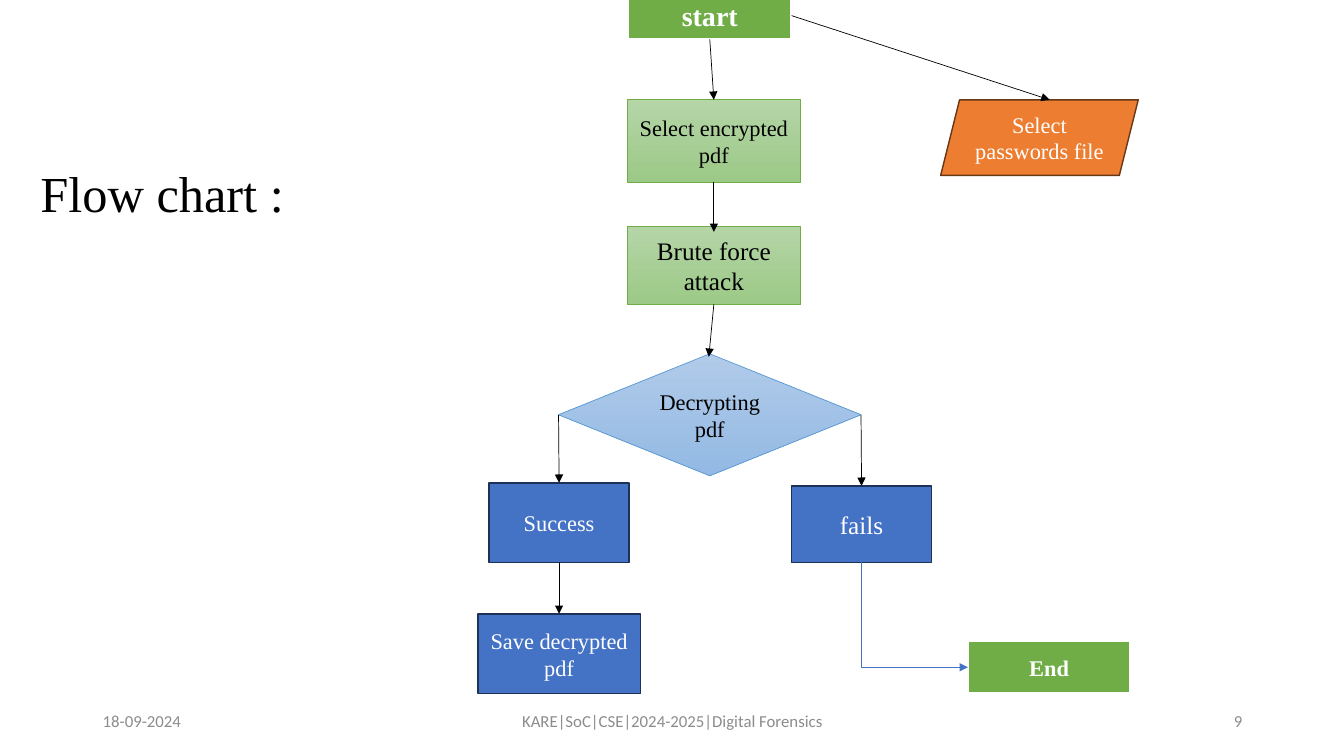
from lxml import etree
from pptx import Presentation
from pptx.dml.color import RGBColor
from pptx.enum.shapes import MSO_CONNECTOR, MSO_SHAPE
from pptx.enum.text import MSO_ANCHOR, PP_ALIGN
from pptx.oxml.ns import qn
from pptx.util import Inches, Pt

RECT, DIAMOND = MSO_SHAPE.RECTANGLE, MSO_SHAPE.DIAMOND
PARALLELOGRAM = MSO_SHAPE.PARALLELOGRAM
STRAIGHT, ELBOW = MSO_CONNECTOR.STRAIGHT, MSO_CONNECTOR.ELBOW
LEFT, CENTER, RIGHT = PP_ALIGN.LEFT, PP_ALIGN.CENTER, PP_ALIGN.RIGHT
MIDDLE = MSO_ANCHOR.MIDDLE
TOP_SIDE, LEFT_SIDE, BOTTOM_SIDE, RIGHT_SIDE = range(4)

BLACK = RGBColor(0x00, 0x00, 0x00)
WHITE = RGBColor(0xFF, 0xFF, 0xFF)
GRAY = RGBColor(0x8C, 0x8C, 0x8C)
GREEN = RGBColor(0x70, 0xAD, 0x47)
GREEN_LIGHT = RGBColor(0xB5, 0xD5, 0xA7)
GREEN_SOFT = RGBColor(0x9C, 0xC9, 0x87)
SKY = RGBColor(0x5B, 0x9B, 0xD5)
SKY_LIGHT = RGBColor(0xB1, 0xCB, 0xE9)
SKY_SOFT = RGBColor(0x93, 0xB9, 0xE4)
ORANGE = RGBColor(0xED, 0x7D, 0x31)
BROWN = RGBColor(0x68, 0x37, 0x15)
BLUE = RGBColor(0x44, 0x72, 0xC4)
NAVY = RGBColor(0x1E, 0x32, 0x56)

# Node looks: fill colours, outline, outline width, text colour, bold
TERMINAL = ([GREEN], WHITE, 1.5, WHITE, True)
STEP = ([GREEN_LIGHT, GREEN_SOFT], GREEN, 0.5, BLACK, False)
DECISION = ([SKY_LIGHT, SKY_SOFT], SKY, 0.5, BLACK, False)
INPUT = ([ORANGE], BROWN, 1, WHITE, False)
RESULT = ([BLUE], NAVY, 1, WHITE, False)


def write(frame, text, size=16, font="Times New Roman", color=BLACK,
          bold=False, align=CENTER, spacing=None):
    frame.word_wrap = True
    frame.vertical_anchor = MIDDLE
    paragraph = frame.paragraphs[0]
    paragraph.alignment = align
    paragraph.line_spacing = spacing
    run = paragraph.add_run()
    run.text = text
    run.font.name, run.font.size = font, Pt(size)
    run.font.bold, run.font.color.rgb = bold, color


class FlowSlide:
    def __init__(self, slide):
        self.slide = slide
        self.shapes = slide.shapes

    def title(self, text, left, top, width, height):
        heading = self.shapes.title
        heading.left, heading.top = Inches(left), Inches(top)
        heading.width, heading.height = Inches(width), Inches(height)
        write(heading.text_frame, text, size=36, align=LEFT, spacing=0.9)

    def footer(self, text, left, width, align):
        box = self.shapes.add_textbox(Inches(left), Inches(6.95), Inches(width), Inches(0.4))
        write(box.text_frame, text, size=12, font="Calibri", color=GRAY, align=align)

    def node(self, text, left, top, width, height, look, kind=RECT, size=16):
        fills, outline, weight, color, bold = look
        shape = self.shapes.add_shape(
            kind, Inches(left), Inches(top), Inches(width), Inches(height))
        shape.shadow.inherit = False
        if len(fills) == 1:
            shape.fill.solid()
            shape.fill.fore_color.rgb = fills[0]
        else:
            shape.fill.gradient()
            shape.fill.gradient_angle = 270
            for stop, shade in zip(shape.fill.gradient_stops, fills):
                stop.color.rgb = shade
        shape.line.color.rgb, shape.line.width = outline, Pt(weight)
        write(shape.text_frame, text, size=size, color=color, bold=bold)
        return shape

    def arrow(self, begin, end, color=BLACK, kind=STRAIGHT, source=None, target=None):
        """Draw an arrow; source and target are (node, side) pairs to join."""
        line = self.shapes.add_connector(kind, *map(Inches, begin + end))
        if source:
            line.begin_connect(*source)
        if target:
            line.end_connect(*target)
        line.line.color.rgb, line.line.width = color, Pt(0.5)
        etree.SubElement(line.line._get_or_add_ln(), qn("a:tailEnd"), type="triangle")
        etree.SubElement(line._element.spPr, qn("a:effectLst"))
        return line

    def corner_arrow(self, begin, end, color):
        """Go down from begin, then right to end, with one bend."""
        across, down = end[0] - begin[0], end[1] - begin[1]
        center_x, center_y = begin[0] + across / 2, begin[1] + down / 2
        # The frame is turned by 270 degrees, so its width is the drop
        line = self.arrow((center_x + down / 2, center_y - across / 2),
                          (center_x - down / 2, center_y + across / 2), color, ELBOW)
        properties = line._element.spPr
        properties.find(qn("a:xfrm")).set("rot", "16200000")
        properties.find(qn("a:prstGeom")).set("prst", "bentConnector2")


def main():
    deck = Presentation()
    deck.slide_width, deck.slide_height = Inches(13.33), Inches(7.5)
    flow = FlowSlide(deck.slides.add_slide(deck.slide_layouts[5]))

    # Title and footer
    flow.title("Flow chart :", 0.3, 1.22, 5.43, 1.45)
    flow.footer("18-09-2024", 0.92, 3, LEFT)
    flow.footer("KARE|SoC|CSE|2024-2025|Digital Forensics", 4.42, 4.5, CENTER)
    flow.footer("9", 9.42, 3, RIGHT)

    # Steps
    attack = flow.node("Brute force attack", 6.22, 2.25, 1.72, 0.77, STEP, size=18)
    select = flow.node("Select encrypted pdf", 6.22, 0.99, 1.72, 0.82, STEP)
    start = flow.node("start", 6.23, -0.08, 1.62, 0.47, TERMINAL, size=20)
    decrypting = flow.node("Decrypting pdf", 5.54, 3.51, 3, 1.21, DECISION, DIAMOND)
    flow.node("Select passwords file", 9.33, 0.99, 1.96, 0.75, INPUT, PARALLELOGRAM)
    success = flow.node("Success", 4.85, 4.79, 1.39, 0.79, RESULT)
    fails = flow.node("fails", 7.85, 4.82, 1.39, 0.76, RESULT, size=18)
    flow.node("End", 9.6, 6.36, 1.61, 0.52, TERMINAL)
    save = flow.node("Save decrypted pdf", 4.74, 6.09, 1.61, 0.79, RESULT)

    # Arrows
    flow.arrow((7.04, 0.39), (7.08, 0.99),
               source=(start, BOTTOM_SIDE), target=(select, TOP_SIDE))
    flow.arrow((7.08, 1.81), (7.08, 2.3), source=(select, BOTTOM_SIDE))
    flow.arrow((7.08, 3.02), (7.03, 3.54), source=(attack, BOTTOM_SIDE))
    flow.arrow((7.85, 0.15), (10.41, 0.99), source=(start, RIGHT_SIDE))
    flow.arrow((5.54, 4.11), (5.54, 4.79),
               source=(decrypting, LEFT_SIDE), target=(success, TOP_SIDE))
    flow.arrow((8.54, 4.11), (8.54, 4.82),
               source=(decrypting, RIGHT_SIDE), target=(fails, TOP_SIDE))
    flow.arrow((5.54, 5.58), (5.54, 6.09),
               source=(success, BOTTOM_SIDE), target=(save, TOP_SIDE))
    flow.corner_arrow((8.54, 5.58), (9.6, 6.62), BLUE)

    deck.save("out.pptx")


if __name__ == "__main__":
    main()
